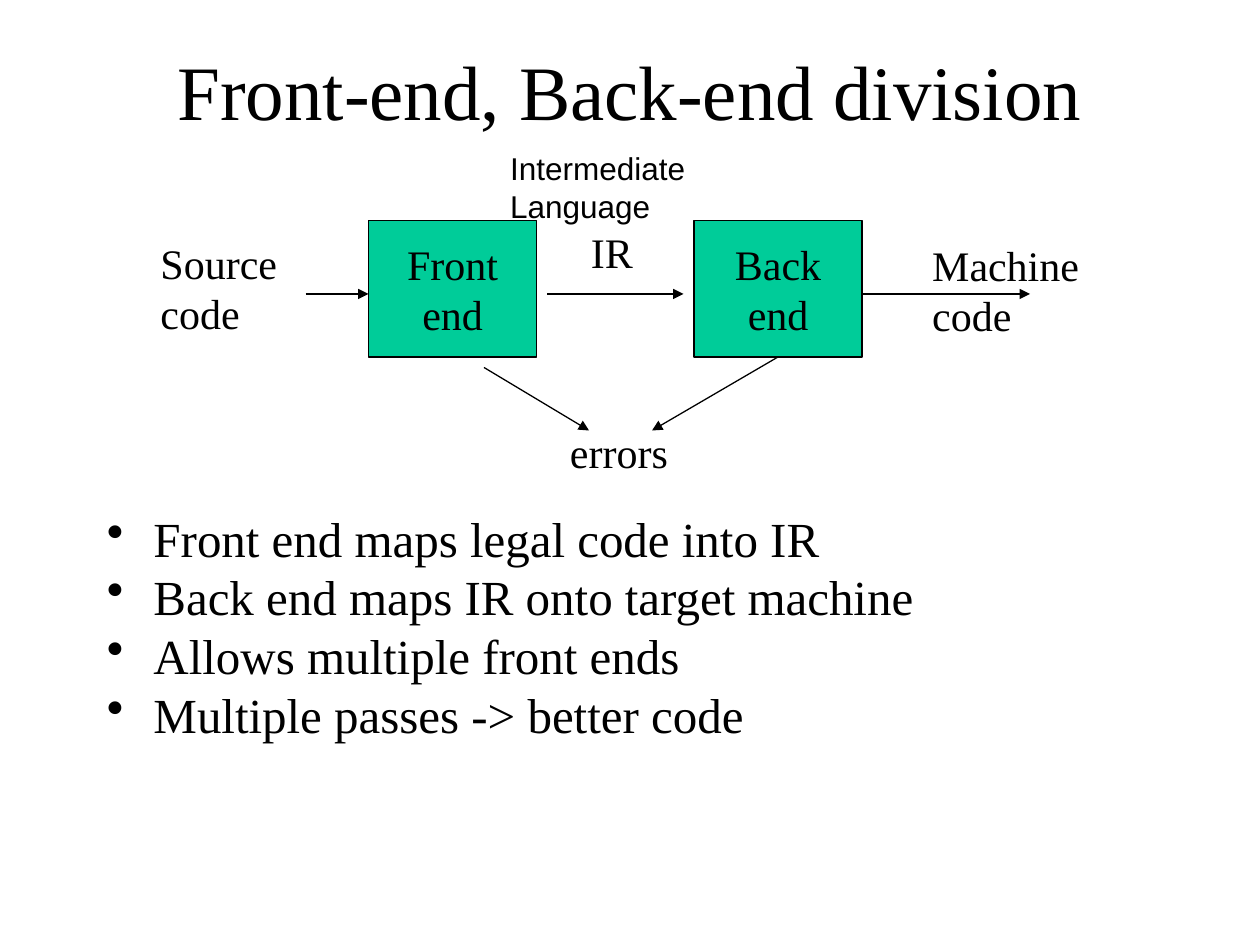
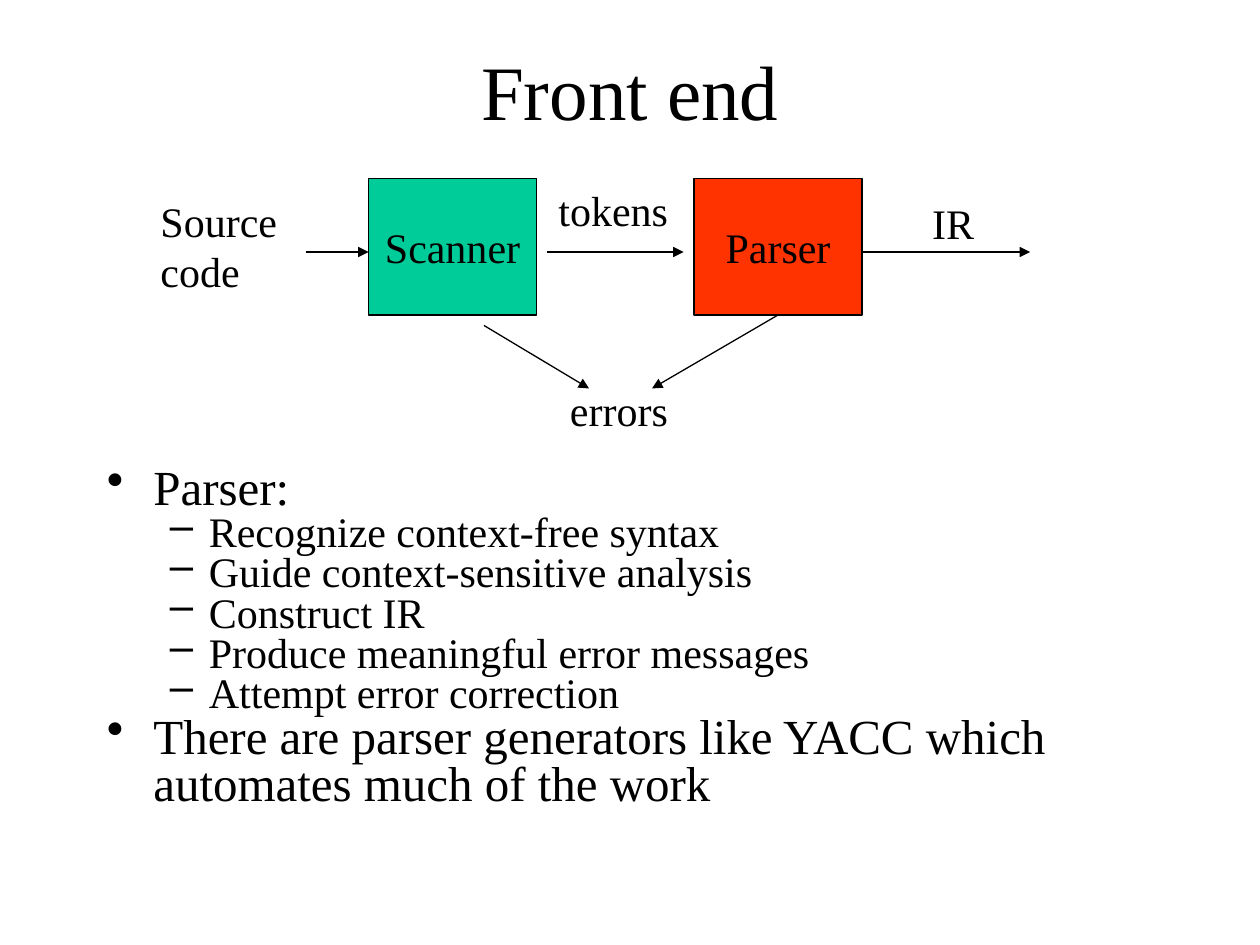
from lxml import etree
from pptx import Presentation
from pptx.dml.color import RGBColor
from pptx.enum.shapes import MSO_CONNECTOR, MSO_SHAPE
from pptx.enum.text import MSO_ANCHOR, PP_ALIGN
from pptx.oxml.ns import qn
from pptx.util import Inches, Pt

BLACK = RGBColor(0, 0, 0)
GREEN = RGBColor(0, 0xCC, 0x99)
RED = RGBColor(0xFF, 0x33, 0)
LINE = MSO_CONNECTOR.STRAIGHT
RECT = MSO_SHAPE.RECTANGLE
MIDDLE, TOP = MSO_ANCHOR.MIDDLE, MSO_ANCHOR.TOP
CENTER, LEFT = PP_ALIGN.CENTER, PP_ALIGN.LEFT
SERIF, SANS = "Times New Roman", "Arial"
COLS, ROWS = 120, 90
BOTTOM = 2
# Level: bullet mark, size, left margin and hanging indent in inches
LEVELS = [("•", 28, 0.37, 0.37), ("–", 24, 0.81, 0.31)]


class Deck:
    """Draws on the current slide; lengths are columns and rows."""

    def __init__(self):
        self.prs = Presentation()
        self.prs.slide_width = Inches(10)
        self.prs.slide_height = Inches(7.5)
        self.col = self.prs.slide_width / COLS
        self.row = self.prs.slide_height / ROWS

    def grid(self, x, y, *size):
        """Turn x, y and an optional width and height into EMU."""
        units = (self.col, self.row) * 2
        return [round(n * u) for n, u in zip((x, y, *size), units)]

    def page(self, title):
        self.slide = self.prs.slides.add_slide(self.prs.slide_layouts[6])
        self.text(title, 9, 1, 102, 15, 44, CENTER, MIDDLE)

    def style(self, para, size, font=SERIF):
        for run in para.runs:
            run.font.size = Pt(size)
            run.font.name = font
            run.font.color.rgb = BLACK

    def fill(self, shape, text, size, align, anchor, font=SERIF):
        frame = shape.text_frame
        frame.word_wrap = True
        frame.vertical_anchor = anchor
        frame.text = text
        for para in frame.paragraphs:
            para.alignment = align
            self.style(para, size, font)

    def text(self, text, x, y, wide, high, size, align=LEFT, anchor=TOP, font=SERIF):
        box = self.slide.shapes.add_textbox(*self.grid(x, y, wide, high))
        self.fill(box, text, size, align, anchor, font)

    def label(self, text, x, y, size=24, font=SERIF):
        self.text(text, x, y, 20, 6, size, font=font)

    def box(self, text, x, y, color):
        box = self.slide.shapes.add_shape(RECT, *self.grid(x, y, 16, 13))
        box.shadow.inherit = False
        box.fill.solid()
        box.fill.fore_color.rgb = color
        box.line.color.rgb = BLACK
        box.line.width = Pt(0.75)
        self.fill(box, text, 24, CENTER, MIDDLE)
        return box

    def arrow(self, start, end):
        line = self.slide.shapes.add_connector(
            LINE, *self.grid(*start), *self.grid(*end))
        line.line.color.rgb = BLACK
        line.line.width = Pt(0.75)
        etree.SubElement(line.line._get_or_add_ln(), qn("a:tailEnd"), type="triangle")
        etree.SubElement(line._element.spPr, qn("a:effectLst"))
        return line

    def bullets(self, items, y, high, space=1.0):
        """Fill the body with (level, text) pairs."""
        body = self.slide.shapes.add_textbox(*self.grid(9, y, 102, high))
        frame = body.text_frame
        frame.word_wrap = True
        frame.text = "\n".join(text for _, text in items)
        for para, (level, _) in zip(frame.paragraphs, items):
            mark, size, left, hang = LEVELS[level]
            para.level = level
            para.line_spacing = space
            props = para._p.get_or_add_pPr()
            props.set("marL", str(Inches(left)))
            props.set("indent", str(-Inches(hang)))
            color = etree.SubElement(props, qn("a:buClr"))
            etree.SubElement(color, qn("a:srgbClr"), val=str(BLACK))
            etree.SubElement(props, qn("a:buChar"), char=mark)
            self.style(para, size)

    def flow(self, top, first, second, middle, output):
        """Two stages from source to output; labels are (text, x, y)."""
        left = 35.1

        def at(x, y):
            return left + x, top + y

        def tag(text, x, y):
            self.label(text, *at(x, y))

        self.box(first[0], *at(0, 0), first[1])
        last = self.box(second[0], *at(31, 0), second[1])
        for start, end in ((-6, 0), (17, 30), (47, 63)):
            self.arrow(at(start, 7), at(end, 7))
        self.arrow(at(11, 14), at(21, 20))
        self.arrow(at(39, 13), at(27, 20)).begin_connect(last, BOTTOM)
        tag("Source\ncode", -21, 1)
        tag("errors", 18, 19)
        tag(*middle)
        tag(*output)


def main():
    deck = Deck()

    deck.page("Front-end, Back-end division")
    deck.bullets([
        (0, "Front end maps legal code into IR"),
        (0, "Back end maps IR onto target machine"),
        (0, "Allows multiple front ends"),
        (0, "Multiple passes -> better code"),
    ], 47.8, 33.8)
    deck.flow(21, ("Front end", GREEN), ("Back end", GREEN),
              ("IR", 20, 0), ("Machine\ncode", 52.5, 1.2))
    deck.label("Intermediate\nLanguage", 47.4, 13.6, 18, SANS)

    deck.page("Front end")
    deck.bullets([
        (0, "Parser:"),
        (1, "Recognize context-free syntax"),
        (1, "Guide context-sensitive analysis"),
        (1, "Construct IR"),
        (1, "Produce meaningful error messages"),
        (1, "Attempt error correction"),
        (0, "There are parser generators like YACC which "
            "automates much of the work"),
    ], 44, 43, 0.8)
    deck.flow(17, ("Scanner", GREEN), ("Parser", RED),
              ("tokens", 16.9, 0), ("IR", 52.5, 1.2))

    deck.prs.save("out.pptx")


if __name__ == "__main__":
    main()
